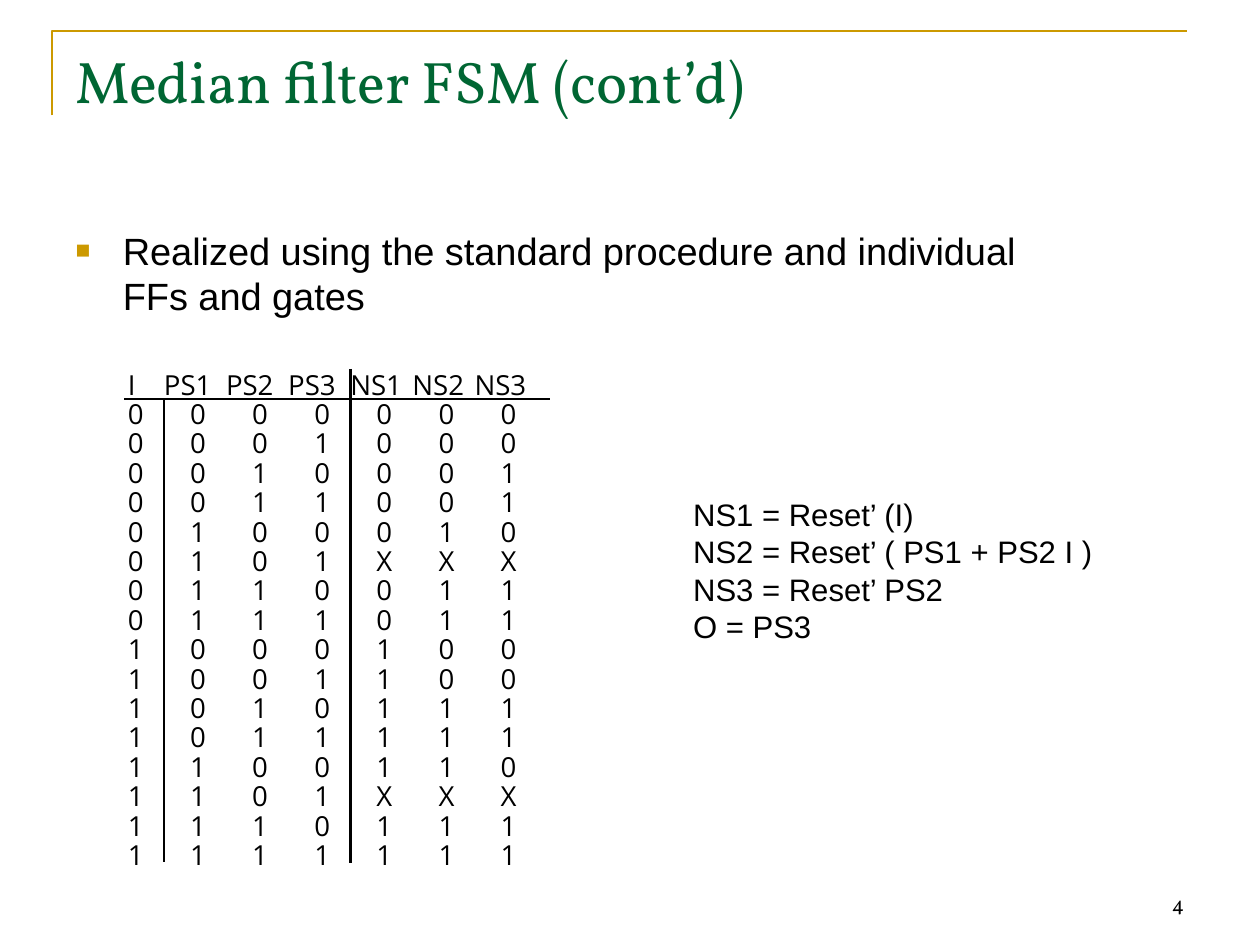
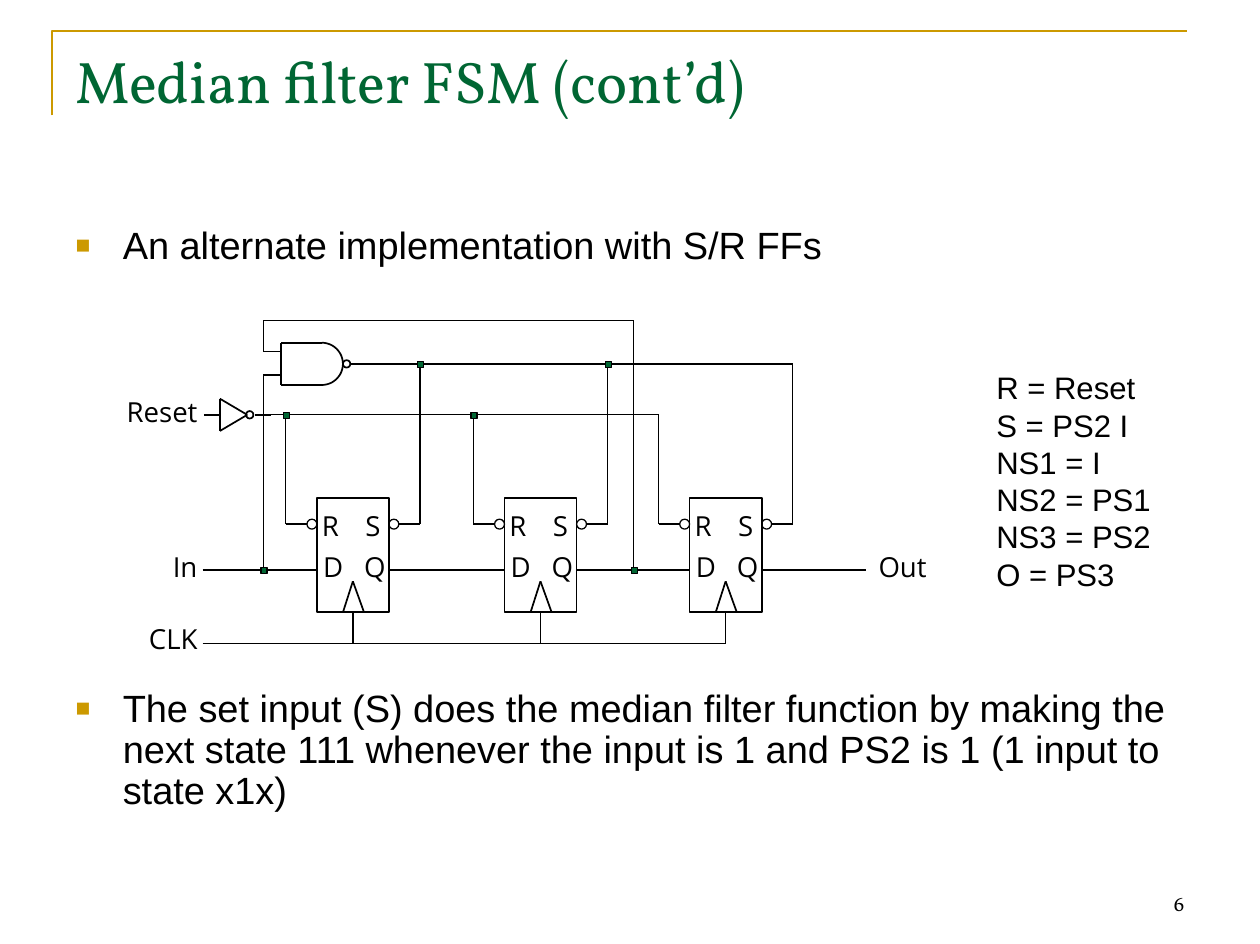
from itertools import pairwise
from math import cos, pi, sin

from lxml.etree import SubElement
from pptx import Presentation
from pptx.dml.color import RGBColor
from pptx.enum.shapes import MSO_CONNECTOR, MSO_SHAPE
from pptx.enum.text import MSO_ANCHOR, MSO_AUTO_SIZE, PP_ALIGN
from pptx.oxml.ns import qn
from pptx.util import Inches, Pt

GOLD, GREEN, BLACK, WHITE = "CC9900", "006633", "000000", "FFFFFF"
SERIF, SANS, LABEL = "Vollkorn", "Arial", "Open Sans"
PAD, TIGHT = (0.1, 0.05), (0.02, 0.03)
LEFT, RIGHT = PP_ALIGN.LEFT, PP_ALIGN.RIGHT
PLAIN = "{2D5ABB26-0587-4C30-8999-92F81FD0307C}"
THIN, MID, THICK = 0.75, 1, 2

HEADS = "I PS1 PS2 PS3 NS1 NS2 NS3".split()
STATES = """0000000 0001000 0010001 0011001 0100010 0101XXX 0110011 0111011
1000100 1001100 1010111 1011111 1100110 1101XXX 1110111 1111111""".split()


def color(code):
    """Turn a hex string into a colour."""
    return RGBColor.from_string(code)


def inch(*nums):
    """Turn numbers into lengths."""
    return [Inches(num) for num in nums]


def write(frame, lines, size=18, font=SANS, ink=BLACK, align=LEFT, pad=PAD,
          anchor=MSO_ANCHOR.TOP, lead=None, before=(), bullet=False):
    """Fill a text frame, one paragraph for each line."""
    frame.word_wrap = True
    frame.auto_size = MSO_AUTO_SIZE.NONE
    frame.vertical_anchor = anchor
    frame.margin_left = frame.margin_right = Inches(pad[0])
    frame.margin_top = frame.margin_bottom = Inches(pad[1])
    for num, line in enumerate(lines):
        para = frame.add_paragraph() if num else frame.paragraphs[0]
        para.text = line
        para.alignment = align
        if lead:
            para.line_spacing = lead
        if before:
            para.space_before = Pt(before[num])
        if bullet:
            mark(para)
        for run in para.runs:
            run.font.size = Pt(size)
            run.font.name = font
            run.font.color.rgb = color(ink)


def mark(para):
    """Give a paragraph a hanging gold square."""
    props = para._p.get_or_add_pPr()
    props.set("marL", str(Inches(0.38)))
    props.set("indent", str(-Inches(0.38)))
    tint = SubElement(props, qn("a:buClr"))
    SubElement(tint, qn("a:srgbClr"), val=GOLD)
    SubElement(props, qn("a:buSzPct"), val="65000")
    SubElement(props, qn("a:buFont"), typeface=SANS)
    SubElement(props, qn("a:buChar"), char="■")


def text(slide, box, lines, **form):
    """Add a text box."""
    write(slide.shapes.add_textbox(*inch(*box)).text_frame, lines, **form)


def tag(slide, box, word, **form):
    """Add a circuit label."""
    text(slide, box, [word], size=16, font=LABEL, pad=TIGHT, lead=Pt(17), **form)


def style(shape, width, ink=BLACK, fill=None):
    """Set line and fill of a shape."""
    shape.shadow.inherit = False
    shape.line.width = Pt(width)
    shape.line.color.rgb = color(ink)
    if fill:
        shape.fill.solid()
        shape.fill.fore_color.rgb = color(fill)
    else:
        shape.fill.background()


def shape(slide, kind, box, width, fill=None):
    """Add a preset shape."""
    style(slide.shapes.add_shape(kind, *inch(*box)), width, fill=fill)


def outline(slide, points, width, ink=BLACK):
    """Draw an open, unfilled outline through points."""
    dots = [inch(*point) for point in points]
    form = slide.shapes.build_freeform(*dots[0])
    form.add_line_segments(dots[1:], close=False)
    style(form.convert_to_shape(), width, ink)


def wire(slide, *points, width=THIN):
    """Join points with straight connectors."""
    for start, end in pairwise(points):
        line = slide.shapes.add_connector(
            MSO_CONNECTOR.STRAIGHT, *inch(*start, *end))
        line.line.width = Pt(width)
        line.line.color.rgb = color(BLACK)
        SubElement(line._element.spPr, qn("a:effectLst"))


def node(slide, x, y):
    """Mark a junction of wires."""
    shape(slide, MSO_SHAPE.RECTANGLE, (x - 0.02, y - 0.02, 0.05, 0.05), THIN, GREEN)


def ring(slide, x, y, size, width=THIN, fill=None):
    """Draw an inversion circle whose left edge is at x, y."""
    shape(slide, MSO_SHAPE.OVAL, (x, y - size / 2, size, size), width, fill)


def base(deck, title, number):
    """Add a slide with corner line, title and number."""
    slide = deck.slides.add_slide(deck.slide_layouts[5])
    outline(slide, [(0.42, 0.93), (0.42, 0.25), (9.55, 0.25)], 1.5, GOLD)
    head = slide.shapes.title
    head.left, head.top, head.width, head.height = inch(0.51, 0.31, 9.12, 1.26)
    write(head.text_frame, [title], size=34, font=SERIF, ink=GREEN)
    text(slide, (7.26, 6.91, 2.37, 0.51), [number], size=12, font=SERIF,
         align=RIGHT, anchor=MSO_ANCHOR.BOTTOM)
    return slide


def body(slide, lines, **form):
    """Add the bulleted text."""
    text(slide, (0.51, 1.78, 9.12, 5.02), lines, size=22, bullet=True, **form)


def truth(slide, x, y):
    """Add the state table and its rules with the top left corner at x, y."""
    rows = [HEADS, *STATES]
    wide = [0.32] + [0.5] * 5 + [0.61]
    high = 17 / 72
    table = slide.shapes.add_table(
        len(rows), len(wide),
        *inch(x, y + 0.04, sum(wide), high * len(rows))).table
    table.first_row = table.horz_banding = False
    table._tbl.tblPr.find(qn("a:tableStyleId")).text = PLAIN
    for col, width in zip(table.columns, wide):
        col.width = Inches(width)
    for r, row in enumerate(rows):
        table.rows[r].height = Inches(high)
        for c, value in enumerate(row):
            cell = table.cell(r, c)
            write(cell.text_frame, [value], size=16, font=LABEL, lead=Pt(17))
            cell.margin_left = Inches(0.03 if c == 0 else 0.21 if r else 0)
            cell.margin_right = cell.margin_top = cell.margin_bottom = 0
            cell.vertical_anchor = MSO_ANCHOR.MIDDLE
            cell.fill.background()
    wire(slide, (x, y + 0.24), (x + 3.43, y + 0.24), width=MID)
    wire(slide, (x + 1.82, y), (x + 1.82, y + 3.98), width=THICK)
    wire(slide, (x + 0.32, y + 0.25), (x + 0.32, y + 3.97), width=MID)


def flop(slide, x, y):
    """Draw a flip-flop with its top left corner at x, y."""
    shape(slide, MSO_SHAPE.RECTANGLE, (x, y, 0.58, 0.92), MID, WHITE)
    wire(slide, (x + 0.21, y + 0.92), (x + 0.29, y + 0.67),
         (x + 0.38, y + 0.92), width=MID)
    for word, dx, dy in (("R", 0.02, 0.09), ("S", 0.37, 0.09),
                         ("D", 0.03, 0.42), ("Q", 0.36, 0.42)):
        tag(slide, (x + dx, y + dy, 0.28, 0.37), word)
    for dx in (-0.08, 0.58):
        ring(slide, x + dx, y + 0.21, 0.08)


def nand(slide, x, y):
    """Draw the gate with its top left corner at x, y."""
    size = 0.17
    flat, low = x + 0.33, y + 2 * size
    for first in (-pi / 2, 0):
        turns = [first + pi * step / 24 for step in range(13)]
        outline(slide, [(flat + size * cos(turn), y + size + size * sin(turn))
                        for turn in turns], MID)
    wire(slide, (flat, y), (x, y), (x, low), (flat, low), width=MID)
    wire(slide, (x + 0.5, y + size), (x + 0.62, y + size), width=MID)
    ring(slide, x + 0.5, y + size, 0.06, MID, WHITE)


def buffer(slide, x, y):
    """Draw the inverter with the middle of its left side at x, y."""
    wire(slide, (x, y - 0.13), (x + 0.22, y), (x, y + 0.13), (x, y - 0.13),
         width=MID)
    ring(slide, x + 0.21, y, 0.06, MID)
    for left in (x - 0.13, x + 0.28):
        wire(slide, (left, y), (left + 0.13, y), width=MID)


def circuit(slide, x, y):
    """Draw the whole circuit from its top left corner x, y."""
    loop, high, reset, top, data, clock = (
        y + step for step in (0, 0.35, 0.76, 1.43, 2.01, 2.6))
    start, tap, gate, back = x + 0.58, x + 1.07, x + 1.21, x + 4.05
    cells = [x + step for step in (1.5, 3.01, 4.5)]
    for word, row in (("Reset", reset), ("In", data), ("CLK", clock - 0.01)):
        tag(slide, (x - 0.24, row - 0.16, 0.8, 0.37), word, align=RIGHT)
    tag(slide, (x + 6, data - 0.16, 0.79, 0.37), "Out")
    outs = [start, *(left + 0.58 for left in cells)]
    for left, right in zip(outs, [*cells, x + 5.92]):
        wire(slide, (left, data), (right, data))
    wire(slide, (start, clock), (cells[-1] + 0.29, clock))
    wire(slide, (x + 1.06, reset), (cells[-1] - 0.25, reset))
    wire(slide, (gate + 0.62, high), (cells[-1] + 0.83, high))
    wire(slide, (back, data), (back, loop), (tap, loop), (tap, high - 0.1))
    wire(slide, (tap, data), (tap, high + 0.09))
    for row in (high - 0.1, high + 0.09):
        wire(slide, (tap, row), (gate, row), width=MID)
    for left in cells:
        pin, fall, rise = top + 0.21, left - 0.25, left + 0.83
        wire(slide, (left - 0.08, pin), (fall, pin), (fall, reset))
        wire(slide, (left + 0.66, pin), (rise, pin), (rise, reset), (rise, high))
        wire(slide, (left + 0.29, top + 0.92), (left + 0.29, clock))
        flop(slide, left, top)
    for left in cells[:-1]:
        node(slide, left - 0.25, reset)
        node(slide, left + 0.83, high)
    for spot in (tap, back):
        node(slide, spot, data)
    nand(slide, gate, high - 0.17)
    buffer(slide, x + 0.72, reset)


def main():
    """Build and save both slides."""
    deck = Presentation()
    deck.slide_width, deck.slide_height = inch(10.14, 7.6)
    title = "Median filter FSM (cont’d)"

    slide = base(deck, title, "4")
    body(slide, ["Realized using the standard procedure and individual\v"
                 "FFs and gates"], before=[4.4])
    truth(slide, 1, 2.97)
    text(slide, (5.48, 3.94, 3.6, 1.3),
         ["NS1 = Reset’ (I)", "NS2 = Reset’ ( PS1 + PS2 I )",
          "NS3 = Reset’ PS2", "O = PS3"])

    slide = base(deck, title, "6")
    body(slide, ["An alternate implementation with S/R FFs",
                 "The set input (S) does the median filter function by making "
                 "the next state 111 whenever the input is 1 and PS2 is 1 "
                 "(1 input to state x1x)"], lead=0.9, before=[4.4, 244.6])
    text(slide, (7.92, 2.92, 1.6, 1.9),
         ["R = Reset", "S = PS2 I", "NS1 = I", "NS2 = PS1", "NS3 = PS2", "O = PS3"])
    circuit(slide, 1.05, 2.58)
    deck.save("out.pptx")


main()
